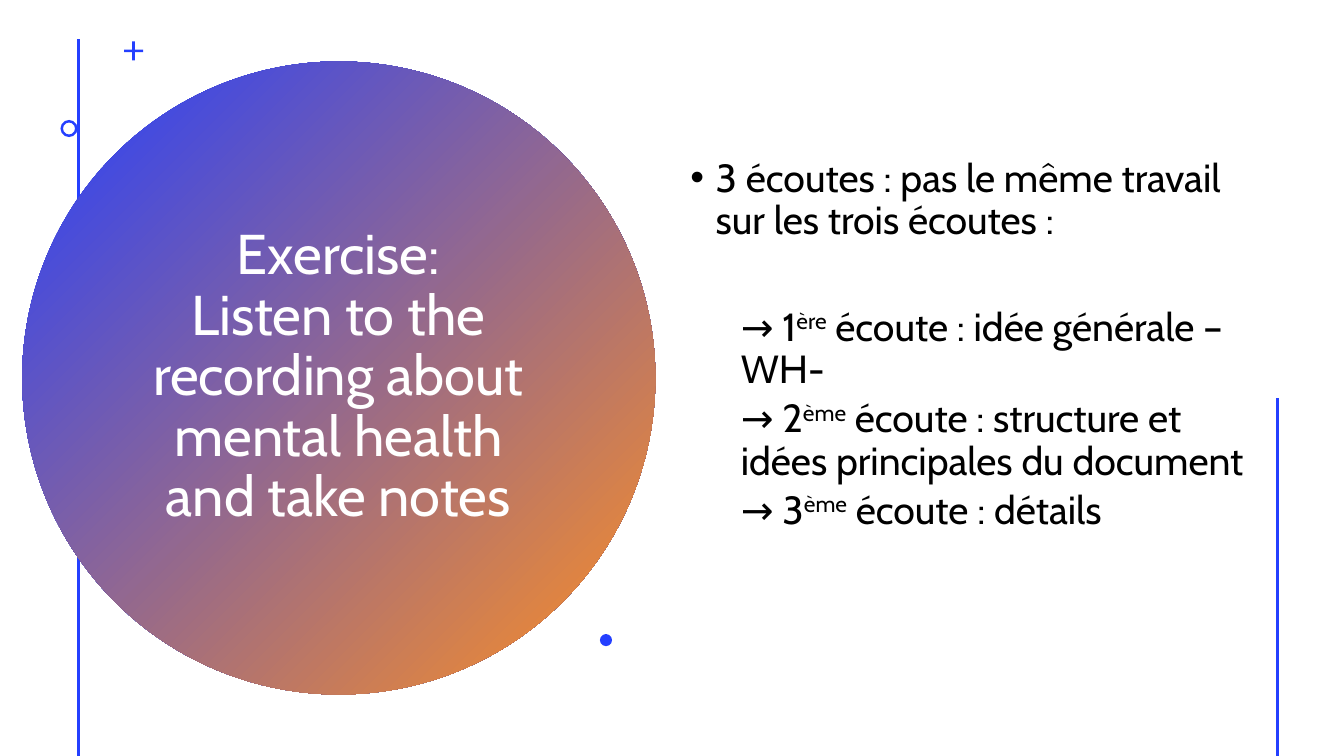
from lxml import etree
from pptx import Presentation
from pptx.dml.color import RGBColor
from pptx.enum.shapes import MSO_CONNECTOR, MSO_SHAPE as SHAPE
from pptx.enum.text import MSO_ANCHOR as ANCHOR, PP_ALIGN as ALIGN
from pptx.oxml.ns import qn
from pptx.util import Inches, Pt

WIDTH, HEIGHT = 13.33, 7.5
FONT = "Cabin"
BLUE, ORANGE, WHITE, BLACK = "243FFF", "FF9022", "FFFFFF", "000000"

TITLE = "Exercise:\vListen to the recording about mental health and take notes"
INTRO = "3 écoutes : pas le même travail sur les trois écoutes :"
LISTENINGS = [
    ("1", "ère", "idée générale – WH-"),
    ("2", "ème", "structure et idées principales du document"),
    ("3", "ème", "détails"),
]


def rgb(color):
    return RGBColor.from_string(color)


def add_rule(slide, x, top):
    """Vertical line running down to the bottom edge of the slide."""
    line = slide.shapes.add_connector(
        MSO_CONNECTOR.STRAIGHT, Inches(x), Inches(top), Inches(x), Inches(HEIGHT))
    line.line.color.rgb = rgb(BLUE)
    line.line.width = Pt(2)
    etree.SubElement(line._element.spPr, qn("a:effectLst"))


def add_ornament(slide, kind, x, y, size, color=BLUE, adjust=None):
    """Square shape without outline."""
    sp = slide.shapes.add_shape(kind, Inches(x), Inches(y), Inches(size), Inches(size))
    sp.shadow.inherit = False
    sp.line.fill.background()
    sp.fill.solid()
    sp.fill.fore_color.rgb = rgb(color)
    if adjust is not None:
        sp.adjustments[0] = adjust
    return sp


def fill_gradient(sp, colors, angle):
    sp.fill.gradient()
    sp.fill.gradient_angle = angle
    for position, (stop, color) in enumerate(zip(sp.fill.gradient_stops, colors)):
        stop.color.rgb = rgb(color)
        stop.position = position


def add_text_box(slide, x, y, w, h):
    tf = slide.shapes.add_textbox(Inches(x), Inches(y), Inches(w), Inches(h)).text_frame
    tf.word_wrap = True
    tf.vertical_anchor = ANCHOR.MIDDLE
    return tf


def format_paragraph(p, size, color, before=0, align=ALIGN.LEFT):
    p.line_spacing = 0.9
    p.space_before = Pt(before)
    p.alignment = align
    for r in p.runs:
        r.font.name = FONT
        r.font.size = Pt(size)
        r.font.color.rgb = rgb(color)


def indent(p, left, first=0, bullet=None):
    pPr = p._p.get_or_add_pPr()
    pPr.set("marL", str(Inches(left)))
    pPr.set("indent", str(Inches(first)))
    if bullet:
        etree.SubElement(pPr, qn("a:buFont")).set("typeface", "Arial")
        etree.SubElement(pPr, qn("a:buChar")).set("char", bullet)


def add_listening(tf, number, suffix, task, before):
    p = tf.add_paragraph()
    for text in (f"→ {number}", suffix, f" écoute : {task}"):
        p.add_run().text = text
    format_paragraph(p, 28, BLACK, before)
    indent(p, 0.5)
    p.runs[1].font._element.set("baseline", "30000")


def main():
    prs = Presentation()
    prs.slide_width, prs.slide_height = Inches(WIDTH), Inches(HEIGHT)
    slide = prs.slides.add_slide(prs.slide_layouts[6])

    # Left rule and the large circle over it
    add_rule(slide, 0.78, 0.39)
    circle = add_ornament(slide, SHAPE.OVAL, 0.22, 0.61, 6.28)
    fill_gradient(circle, (BLUE, ORANGE), 315)

    # Title
    tf = add_text_box(slide, 1.36, 1.41, 3.99, 4.67)
    tf.text = TITLE
    format_paragraph(tf.paragraphs[0], 40, WHITE, align=ALIGN.CENTER)

    # Plus, ring and dot
    add_ornament(slide, SHAPE.CROSS, 1.23, 0.41, 0.19, adjust=0.43)
    add_ornament(slide, SHAPE.DONUT, 0.6, 1.19, 0.17, adjust=0.15)
    add_ornament(slide, SHAPE.OVAL, 5.95, 6.29, 0.12)

    # Instructions, raised a little above the middle
    tf = add_text_box(slide, 6.75, 0.38, 5.92, 6.53)
    tf.margin_bottom = Inches(0.48)
    tf.text = INTRO
    format_paragraph(tf.paragraphs[0], 28, BLACK, 10)
    indent(tf.paragraphs[0], 0.25, -0.25, "•")
    for i, listening in enumerate(LISTENINGS):
        add_listening(tf, *listening, before=5 if i else 46)

    # Right rule
    add_rule(slide, 12.67, 3.95)

    prs.save("out.pptx")


if __name__ == "__main__":
    main()
